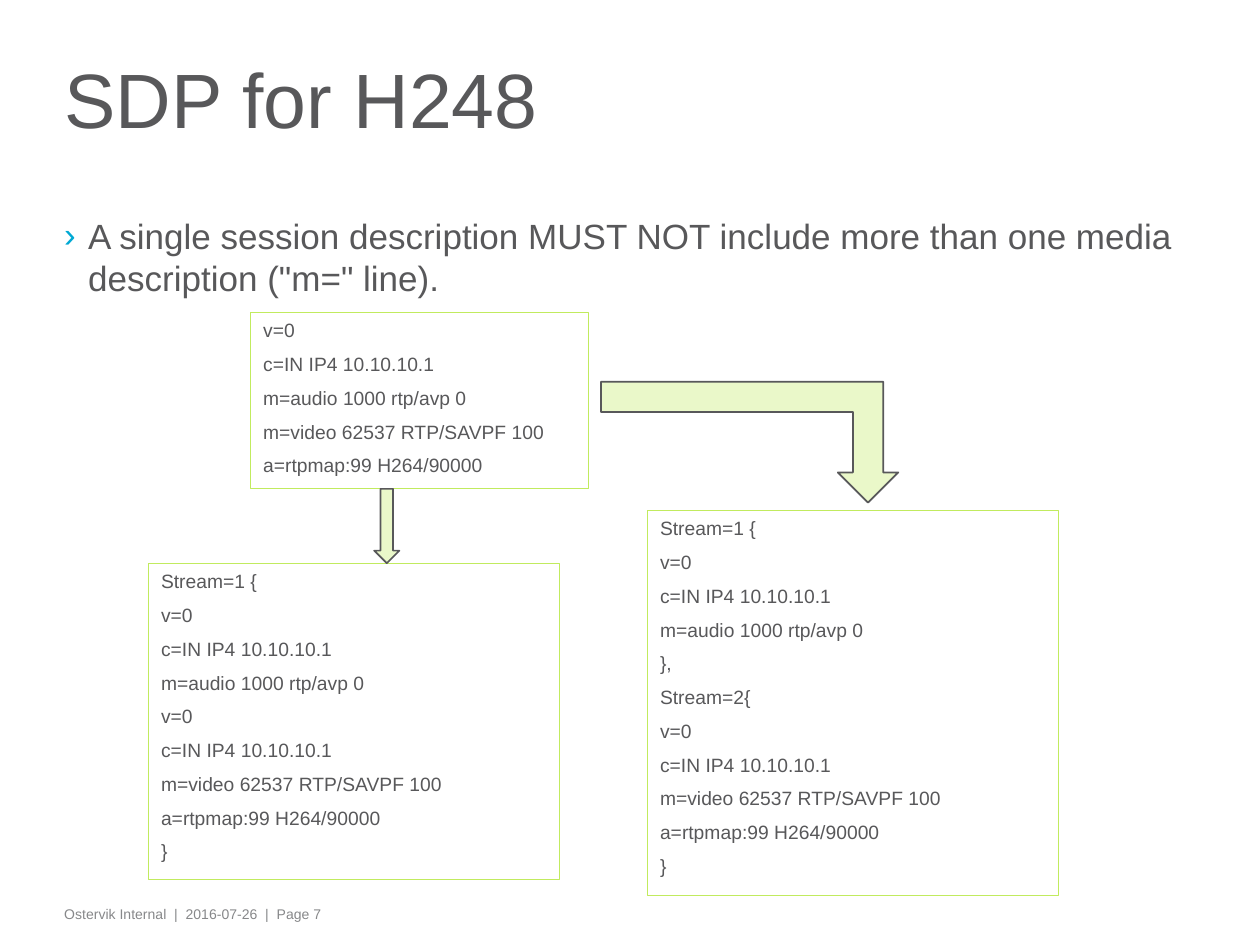
import dataclasses

import lxml.etree
import pptx
import pptx.dml.color
import pptx.enum.shapes
import pptx.enum.text
import pptx.oxml.ns
import pptx.util

Inches = pptx.util.Inches
Pt = pptx.util.Pt
Shape = pptx.enum.shapes.MSO_SHAPE
Anchor = pptx.enum.text.MSO_ANCHOR


@dataclasses.dataclass(frozen=True)
class Theme:
    font: str = "Arial"
    ink: str = "58585A"
    footer_ink: str = "87888A"
    bullet: str = "00A9D4"
    box_line: str = "C1EB5E"
    arrow_fill: str = "EAF8C9"
    title_size: float = 44
    body_size: float = 20
    code_size: float = 11
    footer_size: float = 8
    code_gap: float = 6.1


@dataclasses.dataclass(frozen=True)
class Area:
    left: float
    top: float
    width: float
    height: float

    def lengths(self):
        return [Inches(value) for value in dataclasses.astuple(self)]


@dataclasses.dataclass(frozen=True)
class CodeBox:
    area: Area
    lines: list[str]


@dataclasses.dataclass(frozen=True)
class Arrow:
    area: Area
    kind: Shape
    flipped: bool = False


THEME = Theme()


def rgb(color: str):
    return pptx.dml.color.RGBColor.from_string(color)


def style(paragraph, size: float, color: str) -> None:
    paragraph.font.name = THEME.font
    paragraph.font.size = Pt(size)
    paragraph.font.color.rgb = rgb(color)
    paragraph.alignment = pptx.enum.text.PP_ALIGN.LEFT


def add_text(slide, area: Area, text: str, size: float, color: str,
             anchor=Anchor.TOP, inset: float = 0):
    frame = slide.shapes.add_textbox(*area.lengths()).text_frame
    frame.word_wrap = True
    frame.vertical_anchor = anchor
    frame.margin_left = frame.margin_right = Inches(0.08)
    frame.margin_top = frame.margin_bottom = Inches(inset)
    paragraph = frame.paragraphs[0]
    paragraph.text = text
    style(paragraph, size, color)
    return paragraph


def add_bullet(paragraph, mark: str, color: str, indent: float) -> None:
    properties = paragraph._p.get_or_add_pPr()
    properties.set("marL", str(Inches(indent)))
    properties.set("indent", str(-Inches(indent)))
    qn = pptx.oxml.ns.qn
    bullet_color = lxml.etree.SubElement(properties, qn("a:buClr"))
    lxml.etree.SubElement(bullet_color, qn("a:srgbClr"), val=color)
    lxml.etree.SubElement(properties, qn("a:buFont"), typeface=THEME.font)
    lxml.etree.SubElement(properties, qn("a:buChar"), char=mark)


def add_outlined(slide, kind: Shape, area: Area, line: str, weight: float):
    outlined = slide.shapes.add_shape(kind, *area.lengths())
    outlined.shadow.inherit = False
    outlined.line.color.rgb = rgb(line)
    outlined.line.width = Pt(weight)
    return outlined


def draw_code_box(slide, box: CodeBox) -> None:
    outline = add_outlined(slide, Shape.RECTANGLE, box.area, THEME.box_line, 0.75)
    outline.fill.background()
    frame = outline.text_frame
    frame.word_wrap = True
    frame.vertical_anchor = Anchor.TOP
    for index, line in enumerate(box.lines):
        paragraph = frame.add_paragraph() if index else frame.paragraphs[0]
        paragraph.text = line
        paragraph.space_before = Pt(THEME.code_gap if index else 0)
        style(paragraph, THEME.code_size, THEME.ink)


def draw_arrow(slide, arrow: Arrow) -> None:
    block = add_outlined(slide, arrow.kind, arrow.area, THEME.ink, 1)
    block.fill.solid()
    block.fill.fore_color.rgb = rgb(THEME.arrow_fill)
    if arrow.flipped:
        block.element.spPr.xfrm.set("flipV", "1")


# Session description lines shared by the boxes
SESSION = ["v=0", "c=IN IP4 10.10.10.1"]
AUDIO = ["m=audio 1000 rtp/avp 0"]
VIDEO = ["m=video 62537 RTP/SAVPF 100", "a=rtpmap:99 H264/90000"]

CODE_BOXES = [
    CodeBox(Area(1.99, 2.48, 2.68, 1.4), SESSION + AUDIO + VIDEO),
    CodeBox(Area(5.14, 4.05, 3.26, 3.06),
            ["Stream=1 {", *SESSION, *AUDIO, "},",
             "Stream=2{", *SESSION, *VIDEO, "}"]),
    CodeBox(Area(1.18, 4.47, 3.26, 2.51),
            ["Stream=1 {", *SESSION, *AUDIO, *SESSION, *VIDEO, "}"]),
]
ARROWS = [
    Arrow(Area(2.97, 3.88, 0.2, 0.59), Shape.DOWN_ARROW),
    Arrow(Area(4.77, 3.03, 2.36, 0.96), Shape.BENT_UP_ARROW, flipped=True),
]

deck = pptx.Presentation()
deck.slide_width, deck.slide_height = Inches(10), Inches(7.5)
slide = deck.slides.add_slide(deck.slide_layouts[6])

# Footer, statement and title
add_text(slide, Area(0.43, 7.14, 8.09, 0.24),
         "Ostervik Internal  |  2016-07-26  |  Page 7",
         THEME.footer_size, THEME.footer_ink, inset=0.05)
statement = add_text(
    slide, Area(0.43, 1.7, 9.13, 4.21),
    "A single session description MUST NOT include more than one media "
    'description ("m=" line).', THEME.body_size, THEME.ink)
statement.space_before = Pt(2)
add_bullet(statement, "›", THEME.bullet, 0.19)
title = add_text(slide, Area(0.43, 0.26, 8.2, 1.19), "SDP for H248",
                 THEME.title_size, THEME.ink, Anchor.MIDDLE)
title.line_spacing = 0.75

# Descriptions and the arrows between them
for box in CODE_BOXES:
    draw_code_box(slide, box)
for arrow in ARROWS:
    draw_arrow(slide, arrow)

deck.save("out.pptx")
